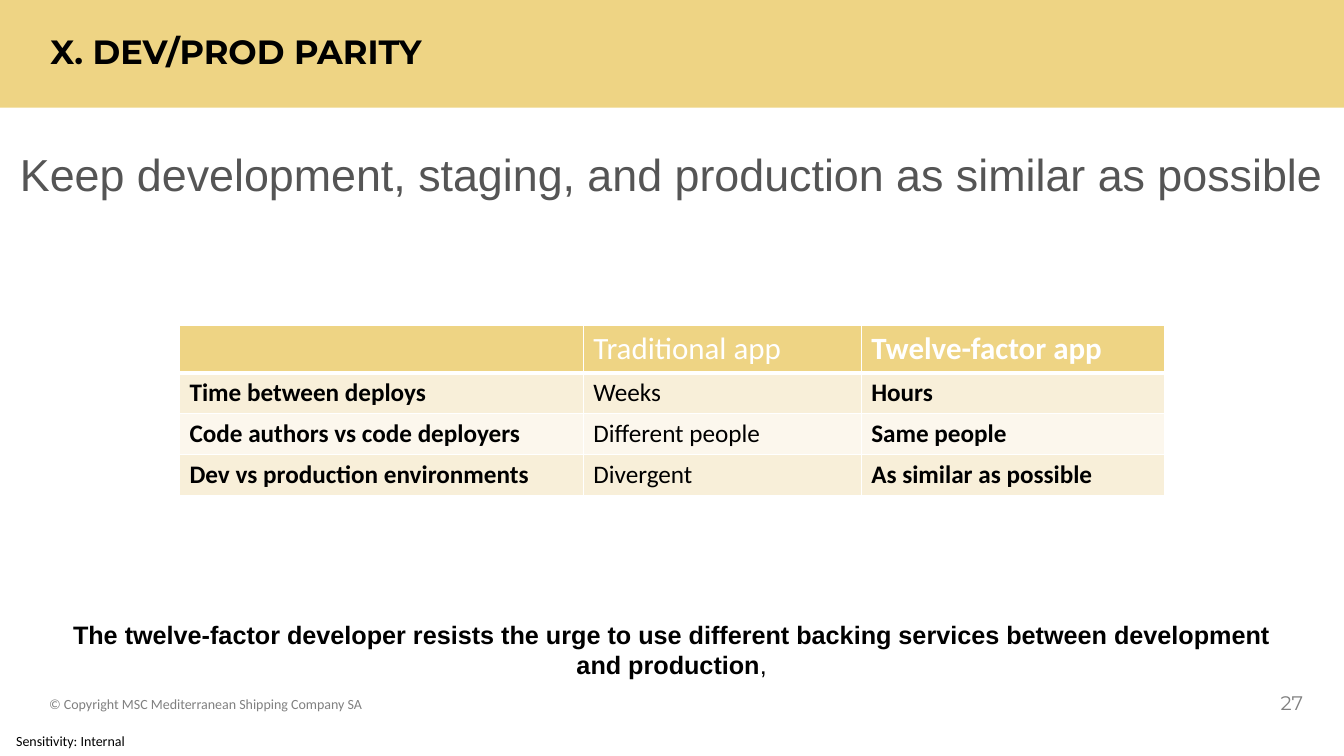
import dataclasses

import lxml.etree
import pptx
import pptx.dml.color
import pptx.enum.shapes
import pptx.enum.text
import pptx.oxml.ns
import pptx.util

Pt = pptx.util.Pt
ALIGN = pptx.enum.text.PP_ALIGN
ANCHOR = pptx.enum.text.MSO_ANCHOR
SLIDE_WIDTH, SLIDE_HEIGHT = 960, 540
DEFAULT_INSETS = (7.2, 3.6, 7.2, 3.6)
NO_INSETS = (0, 0, 0, 0)


@dataclasses.dataclass(frozen=True)
class Theme:
    gold: str = "EED484"
    band_dark: str = "F8EFD9"
    band_light: str = "FCF7ED"
    white: str = "FFFFFF"
    black: str = "000000"
    gray: str = "808080"
    dark_gray: str = "555555"
    heading_font: str = "Montserrat"
    body_font: str = "Calibri"
    statement_font: str = "Arial"
    statement: float = 32
    title: float = 24
    table_header: float = 22.1
    body: float = 18
    page_number: float = 14
    small: float = 10


def set_attributes(target, values):
    for name, value in values.items():
        setattr(target, name, value)


def rgb(color):
    return pptx.dml.color.RGBColor.from_string(color)


class SlideBuilder:
    def __init__(self, slide, theme):
        self.slide = slide
        self.theme = theme

    def band(self, left, top, width, height):
        shape = self.slide.shapes.add_shape(
            pptx.enum.shapes.MSO_SHAPE.RECTANGLE,
            Pt(left), Pt(top), Pt(width), Pt(height))
        shape.shadow.inherit = False
        shape.fill.solid()
        shape.fill.fore_color.rgb = rgb(self.theme.gold)
        shape.line.fill.background()

    def add_runs(self, paragraph, runs, size, font, color):
        """Add (text, bold) runs that share one size, font and color."""
        for text, bold in runs:
            run = paragraph.add_run()
            run.text = text
            set_attributes(run.font, {"size": Pt(size), "name": font, "bold": bold})
            run.font.color.rgb = rgb(color)

    def frame(self, shape, insets, anchor, grow=False):
        """Format the text frame and return its first paragraph."""
        fit = pptx.enum.text.MSO_AUTO_SIZE
        left, top, right, bottom = insets
        set_attributes(shape.text_frame, {
            "word_wrap": True,
            "auto_size": fit.SHAPE_TO_FIT_TEXT if grow else fit.NONE,
            "vertical_anchor": anchor,
            "margin_left": Pt(left), "margin_top": Pt(top),
            "margin_right": Pt(right), "margin_bottom": Pt(bottom)})
        return shape.text_frame.paragraphs[0]

    def title(self, text, left, top, width, height):
        shape = self.slide.shapes.title
        set_attributes(shape, {"left": Pt(left), "top": Pt(top),
                               "width": Pt(width), "height": Pt(height)})
        self.slide.shapes._spTree.append(shape._element)
        paragraph = self.frame(shape, NO_INSETS, ANCHOR.MIDDLE)
        set_attributes(paragraph, {"alignment": ALIGN.LEFT, "line_spacing": 0.9})
        self.add_runs(paragraph, [(text, True)], self.theme.title,
                      self.theme.heading_font, self.theme.black)

    def text(self, runs, box, size, font, color, alignment=ALIGN.LEFT,
             insets=DEFAULT_INSETS, anchor=ANCHOR.TOP, grow=False, space_after=0):
        shape = self.slide.shapes.add_textbox(*map(Pt, box))
        paragraph = self.frame(shape, insets, anchor, grow)
        set_attributes(paragraph, {"alignment": alignment,
                                   "space_after": Pt(space_after)})
        self.add_runs(paragraph, runs, size, font, color)

    def cell_borders(self, cell, widths):
        """Draw white borders; widths are left, right, top, bottom."""
        properties = cell._tc.get_or_add_tcPr()
        for side, width in zip("LRTB", widths):
            line = lxml.etree.SubElement(
                properties, pptx.oxml.ns.qn(f"a:ln{side}"), w=str(Pt(width)))
            fill = lxml.etree.SubElement(line, pptx.oxml.ns.qn("a:solidFill"))
            lxml.etree.SubElement(fill, pptx.oxml.ns.qn("a:srgbClr"),
                                  val=self.theme.white)

    def table(self, rows, left, top, column_widths, row_heights):
        theme = self.theme
        table = self.slide.shapes.add_table(
            len(rows), len(column_widths), Pt(left), Pt(top),
            Pt(sum(column_widths)), Pt(sum(row_heights))).table
        for column, width in zip(table.columns, column_widths):
            column.width = Pt(width)
        for row, height in zip(table.rows, row_heights):
            row.height = Pt(height)
        for row_index, texts in enumerate(rows):
            header = row_index == 0
            stripe = theme.band_dark if row_index % 2 else theme.band_light
            size = theme.table_header if header else theme.body
            color = theme.white if header else theme.black
            for column_index, text in enumerate(texts):
                cell = table.cell(row_index, column_index)
                self.cell_borders(cell, (1, 1, 3 if row_index == 1 else 1,
                                         3 if header else 1))
                cell.fill.solid()
                cell.fill.fore_color.rgb = rgb(theme.gold if header else stripe)
                if text:
                    self.add_runs(cell.text_frame.paragraphs[0],
                                  [(text, column_index != 1)],
                                  size, theme.body_font, color)


def main():
    presentation = pptx.Presentation()
    set_attributes(presentation, {"slide_width": Pt(SLIDE_WIDTH),
                                  "slide_height": Pt(SLIDE_HEIGHT)})
    theme = Theme()
    title_only = presentation.slide_layouts.get_by_name("Title Only")
    builder = SlideBuilder(presentation.slides.add_slide(title_only), theme)

    builder.band(0, 0, SLIDE_WIDTH, 77)
    builder.text([("Sensitivity: Internal", False)], (0, 519, 101, 21),
                 theme.small, theme.body_font, theme.black,
                 insets=(11.5, 0, 0, 0), anchor=ANCHOR.MIDDLE)
    builder.title("X. DEV/PROD PARITY", 36, 3, 672, 71)
    builder.text([("27", False)], (902, 489.6, 36, 24), theme.page_number,
                 theme.heading_font, theme.gray, ALIGN.RIGHT)
    builder.text([("© Copyright MSC Mediterranean Shipping Company SA", False)],
                 (28, 493, 290, 24), theme.small, theme.body_font, theme.gray)
    builder.text([("Keep development, staging, and production as similar as possible",
                   False)],
                 (0, 101.5, SLIDE_WIDTH, 46), theme.statement,
                 theme.statement_font, theme.dark_gray, ALIGN.CENTER,
                 grow=True, space_after=16)
    builder.table(
        [("", "Traditional app", "Twelve-factor app"),
         ("Time between deploys", "Weeks", "Hours"),
         ("Code authors vs code deployers", "Different people", "Same people"),
         ("Dev vs production environments", "Divergent", "As similar as possible")],
        128.2, 232.5, (288.5, 198.5, 217), (33.7, 29.2, 29.2, 29.2))
    builder.text([("The twelve-factor developer resists the urge to use different "
                   "backing services between development and production", True),
                  (",", False)],
                 (34.5, 438.5, 890.6, 50), theme.body, theme.statement_font,
                 theme.black, ALIGN.CENTER, grow=True)

    presentation.save("out.pptx")


if __name__ == "__main__":
    main()
